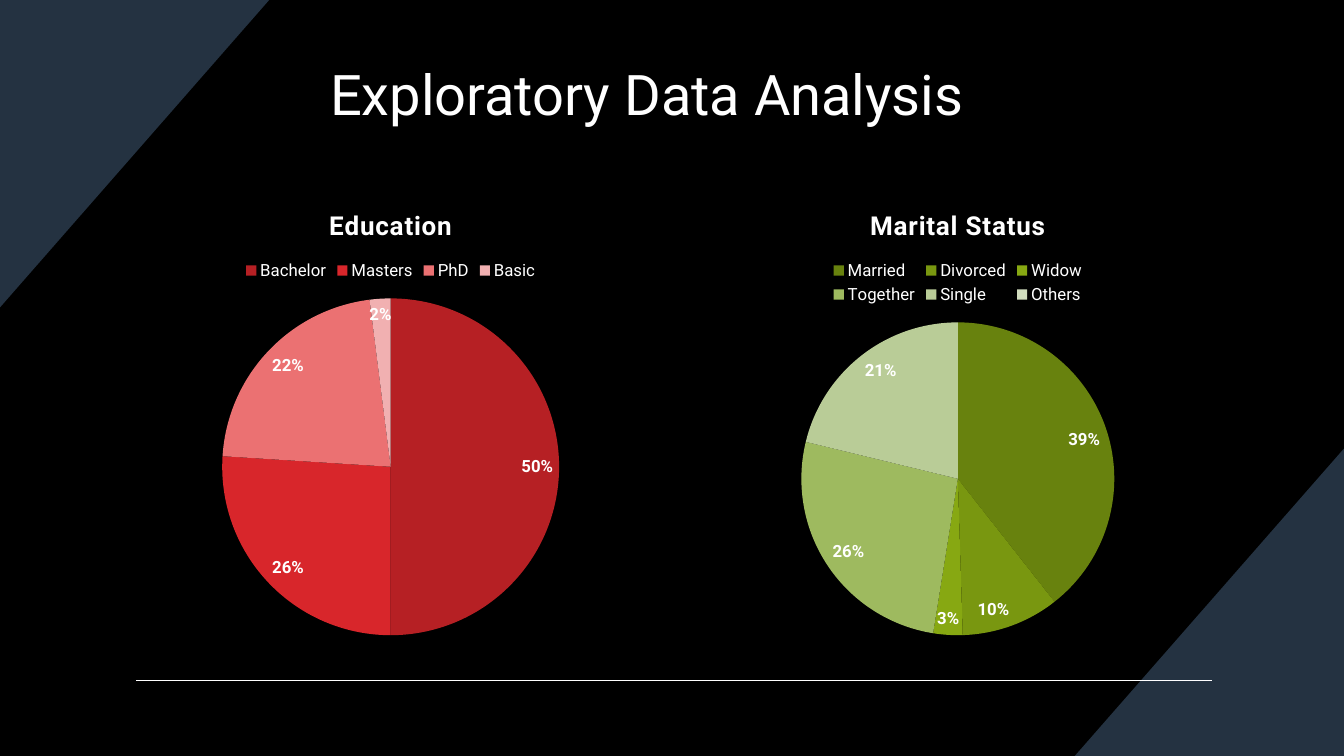
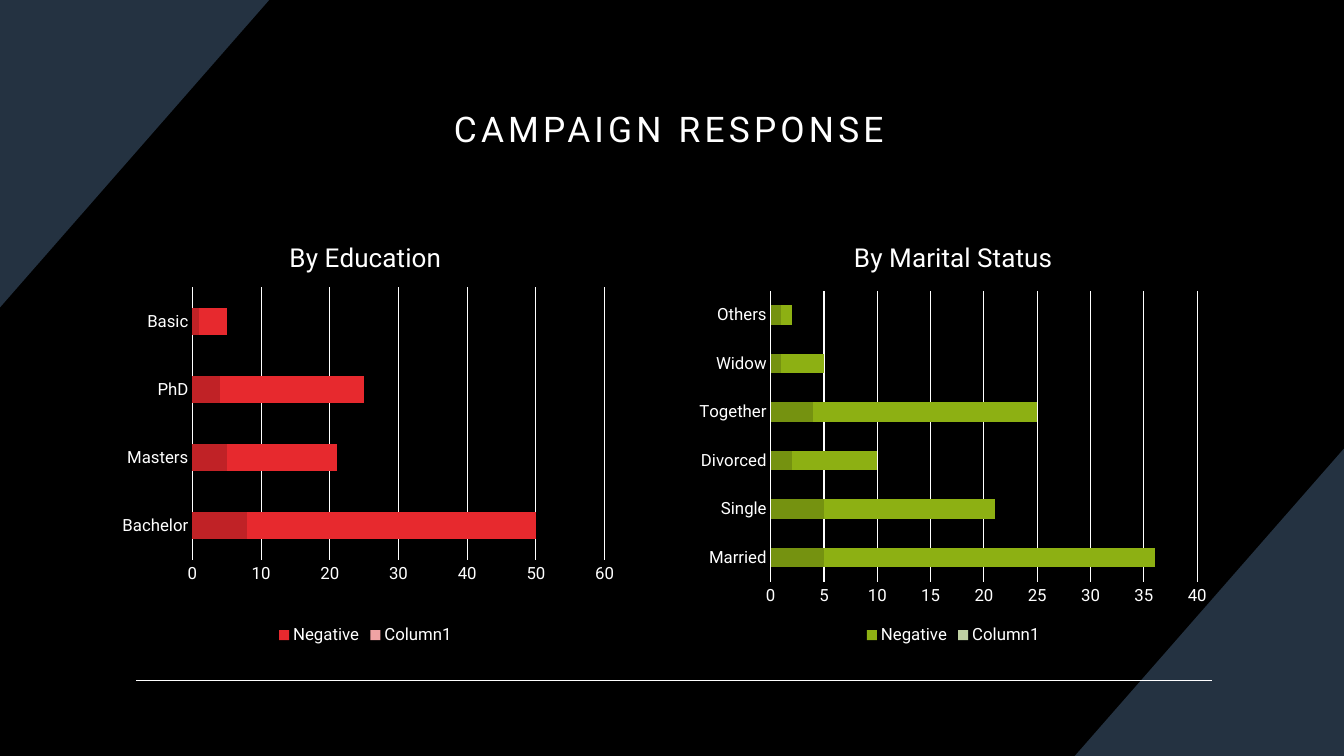
from lxml import etree
from pptx import Presentation
from pptx import util as u
from pptx.chart.data import CategoryChartData
from pptx.dml.color import RGBColor
from pptx.enum import chart as charts, shapes, text
from pptx.oxml import ns

COLORS = {"back": "000000", "corner": "243241", "ink": "FFFFFF"}
FONT = "Roboto"
WIDTH, HEIGHT = 13.33, 7.5
CORNER_WIDTH, CORNER_HEIGHT = 2.67, 3.05

EDUCATION_PIE = [("Bachelor", 50, "B62024"), ("Masters", 26, "D8262B"),
                 ("PhD", 22, "EB7172"), ("Basic", 2, "F1B0B1")]
MARITAL_PIE = [("Married", 39, "68820E"), ("Divorced", 10, "799710"),
               ("Widow", 3, "87A812"), ("Together", 26, "9EBA5F"),
               ("Single", 21, "B9CC97"), ("Others", 0, "D0DCBD")]

EDUCATION_LEVELS = ["Bachelor", "Masters", "PhD", "Basic"]
EDUCATION_BARS = [("Positive", [8, 5, 4, 1], "C02226"),
                  ("Negative", [42, 16, 21, 4], "E7292E"),
                  ("Column1", [None] * 4, "F0A3A4")]
MARITAL_LEVELS = ["Married", "Single", "Divorced", "Together", "Widow", "Others"]
MARITAL_BARS = [("Positve", [5, 5, 2, 4, 1, 1], "759210"),
                ("Negative", [31, 16, 8, 21, 4, 1], "8DB013"),
                ("Column1", [None] * 6, "BFD0A2")]


def rgb(value):
    return RGBColor.from_string(value)


def paint(fill, value):
    fill.solid()
    fill.fore_color.rgb = rgb(value)


def style_font(font, size, bold=False):
    font.name, font.size, font.bold = FONT, u.Pt(size), bold
    font.color.rgb = rgb(COLORS["ink"])


def style_line(line, width):
    line.width = u.Pt(width)
    paint(line.fill, COLORS["ink"])


def add_text(frame, words, size, bold=False, spacing=0):
    """Fill a frame with one centred line; spacing is in points."""
    para = frame.paragraphs[0]
    para.alignment = text.PP_ALIGN.CENTER
    span = para.add_run()
    span.text = words
    style_font(span.font, size, bold)
    if spacing:
        span.font._element.set("spc", str(int(spacing * 100)))


# Shared backdrop
def add_corner(page, points):
    builder = page.shapes.build_freeform(*map(u.Inches, points[0]))
    builder.add_line_segments([tuple(map(u.Inches, point)) for point in points[1:]])
    corner = builder.convert_to_shape()
    corner.shadow.inherit = False
    paint(corner.fill, COLORS["corner"])
    corner.line.fill.background()
    return corner


def add_rule(page):
    rule = page.shapes.add_connector(
        shapes.MSO_CONNECTOR.STRAIGHT, u.Inches(1.35), u.Inches(6.75),
        u.Inches(12.02), u.Inches(6.75))
    style_line(rule.line, 1)
    etree.SubElement(rule.element.spPr, ns.qn("a:effectLst"))
    return rule


def dress_master(master, page):
    """Draw the backdrop on a page, then move it to the master."""
    paint(master.background.fill, COLORS["back"])
    backdrop = [
        add_corner(page, [(WIDTH, HEIGHT - CORNER_HEIGHT), (WIDTH, HEIGHT),
                          (WIDTH - CORNER_WIDTH, HEIGHT)]),
        add_corner(page, [(0, 0), (CORNER_WIDTH, 0), (0, CORNER_HEIGHT)]),
        add_rule(page),
    ]
    for index, shape in enumerate(backdrop):
        master.shapes.element.insert(2 + index, shape.element)


def add_title(page, words, box, size, anchor, spacing=0):
    title = page.shapes.title
    title.left, title.top, title.width, title.height = map(u.Inches, box)
    title.text_frame.vertical_anchor = anchor
    add_text(title.text_frame, words, size, spacing=spacing)


# Charts
def add_chart(page, kind, box, data, title, legend_place, bold=False, spacing=0):
    chart = page.shapes.add_chart(kind, *map(u.Inches, box), data).chart
    style_font(chart.font, 10)
    chart.has_title = True
    add_text(chart.chart_title.text_frame, title, 18.6, bold, spacing)
    chart.chart_title.include_in_layout = False
    chart.has_legend = True
    chart.legend.position = legend_place
    chart.legend.include_in_layout = False
    style_font(chart.legend.font, 12)
    return chart


def add_pie(page, box, title, slices):
    data = CategoryChartData()
    data.categories = [name for name, _, _ in slices]
    data.add_series(title, [value for _, value, _ in slices])
    chart = add_chart(page, charts.XL_CHART_TYPE.PIE, box, data, title,
                      charts.XL_LEGEND_POSITION.TOP, bold=True, spacing=0.5)
    plot = chart.plots[0]
    for index, (_, _, color) in enumerate(slices):
        paint(plot.series[0].points[index].format.fill, color)
    plot.has_data_labels = True
    labels = plot.data_labels
    labels.show_percentage, labels.show_value = True, False
    labels.number_format, labels.number_format_is_linked = "0%", False
    labels.position = charts.XL_LABEL_POSITION.INSIDE_END
    style_font(labels.font, 12, bold=True)


def hide_legend_entry(chart, index):
    entry = etree.Element(ns.qn("c:legendEntry"))
    etree.SubElement(entry, ns.qn("c:idx")).set("val", str(index))
    etree.SubElement(entry, ns.qn("c:delete")).set("val", "1")
    chart.legend._element.insert(1, entry)


def place_plot(chart, area):
    """Fix the inner plot area, in percent of the chart."""
    plot_area = chart._chartSpace.chart.plotArea
    for old in plot_area.findall(ns.qn("c:layout")):
        plot_area.remove(old)
    layout = etree.Element(ns.qn("c:layout"))
    manual = etree.SubElement(layout, ns.qn("c:manualLayout"))
    settings = [("layoutTarget", "inner"), ("xMode", "edge"), ("yMode", "edge"),
                *zip("xywh", [round(part / 100, 3) for part in area])]
    for tag, value in settings:
        etree.SubElement(manual, ns.qn("c:" + tag)).set("val", str(value))
    plot_area.insert(0, layout)


def add_bars(page, box, title, levels, bars, top, step, area):
    data = CategoryChartData()
    data.categories = levels
    for name, values, _ in bars:
        data.add_series(name, values)
    chart = add_chart(page, charts.XL_CHART_TYPE.BAR_STACKED, box, data, title,
                      charts.XL_LEGEND_POSITION.BOTTOM)
    hide_legend_entry(chart, 2)
    place_plot(chart, area)
    plot = chart.plots[0]
    plot.gap_width, plot.overlap, plot.vary_by_categories = 150, 100, False
    for series, (_, _, color) in zip(plot.series, bars):
        paint(series.format.fill, color)
    for axis in (chart.category_axis, chart.value_axis):
        axis.major_tick_mark = axis.minor_tick_mark = charts.XL_TICK_MARK.NONE
        style_font(axis.tick_labels.font, 12)
    style_line(chart.category_axis.format.line, 0.75)
    scale = chart.value_axis
    scale.minimum_scale, scale.maximum_scale, scale.major_unit = 0, top, step
    scale.format.line.fill.background()
    scale.has_major_gridlines = True
    style_line(scale.major_gridlines.format.line, 0.75)


def main():
    deck = Presentation()
    deck.slide_width, deck.slide_height = u.Inches(WIDTH), u.Inches(HEIGHT)
    title_only = deck.slide_layouts.get_by_name("Title Only")

    # Slide 1: shares by education and marital status
    page = deck.slides.add_slide(title_only)
    dress_master(deck.slide_master, page)
    add_title(page, "Exploratory Data Analysis", (1, 0.41, 10.83, 1.02), 40,
              text.MSO_ANCHOR.MIDDLE)
    add_pie(page, (1.25, 1.87, 5.25, 4.57), "Education", EDUCATION_PIE)
    add_pie(page, (6.83, 1.87, 5.34, 4.57), "Marital Status", MARITAL_PIE)

    # Slide 2: responses by the same groups
    page = deck.slides.add_slide(title_only)
    add_title(page, "CAMPAIGN RESPONSE", (4.01, 0.75, 5.25, 0.78), 25.2,
              text.MSO_ANCHOR.BOTTOM, spacing=3)
    add_bars(page, (1, 2.2, 5.25, 4.24), "By Education", EDUCATION_LEVELS,
             EDUCATION_BARS, 60, 10, (17.3, 15.4, 77.9, 63.7))
    add_bars(page, (6.83, 2.2, 5.25, 4.24), "By Marital Status", MARITAL_LEVELS,
             MARITAL_BARS, 40, 5, (15.5, 16.2, 80.6, 68))

    deck.save("out.pptx")


if __name__ == "__main__":
    main()
